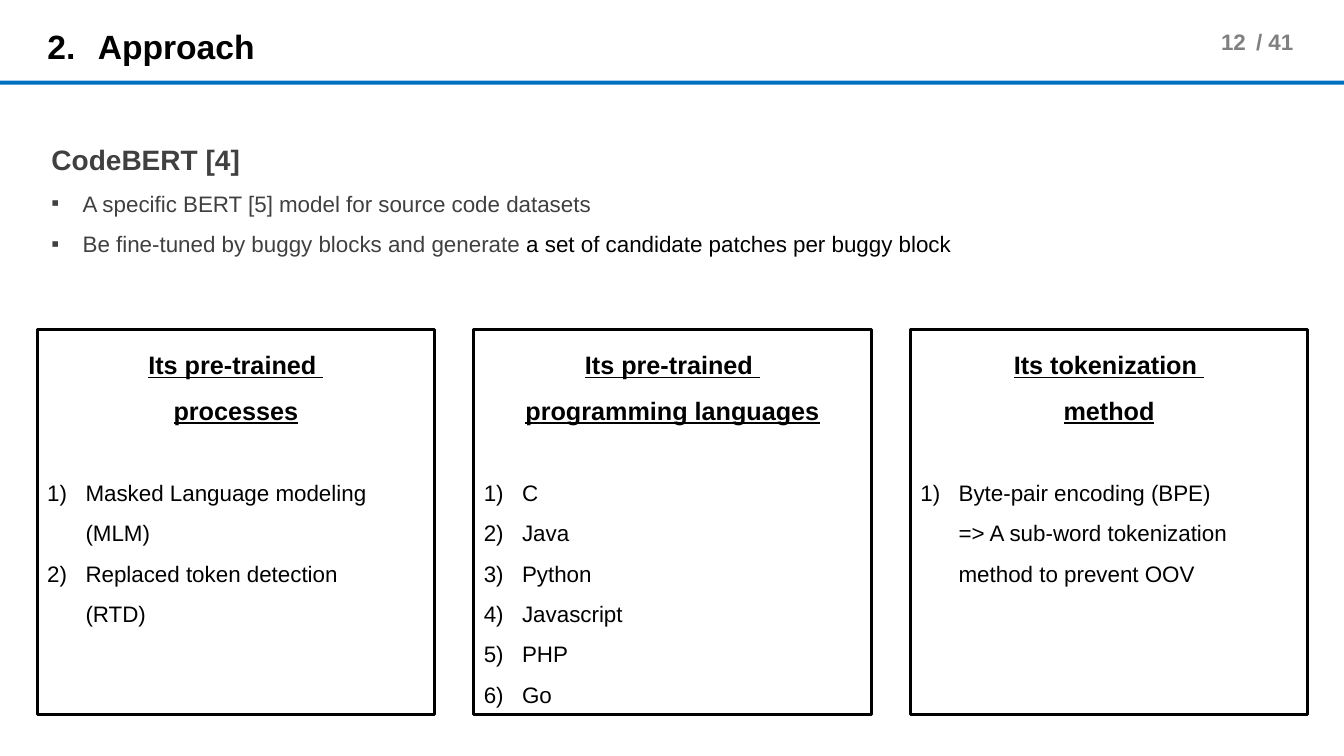
from pptx import Presentation
from pptx.dml.color import RGBColor
from pptx.enum.shapes import MSO_SHAPE
from pptx.enum.text import MSO_ANCHOR, MSO_AUTO_SIZE, PP_ALIGN
from pptx.oxml.ns import qn
from pptx.util import Inches, Pt
from lxml.etree import SubElement

BLACK = RGBColor(0x00, 0x00, 0x00)
DARK = RGBColor(0x40, 0x40, 0x40)
GREY = RGBColor(0x80, 0x80, 0x80)
BLUE = RGBColor(0x00, 0x70, 0xC0)

CARDS = [
    ("Its pre-trained \vprocesses",
     ["Masked Language modeling \v(MLM)", "Replaced token detection \v(RTD)"]),
    ("Its pre-trained \vprogramming languages",
     ["C", "Java", "Python", "Javascript", "PHP", "Go"]),
    ("Its tokenization \vmethod",
     ["Byte-pair encoding (BPE)\v=> A sub-word tokenization method to prevent OOV"]),
]


class ApproachSlide:
    font_name = "Arial"
    margin, pitch, gap, row = 0.37, 4.33, 0.39, 0.5

    def __init__(self, deck):
        self.width = deck.slide_width
        self.slide = deck.slides.add_slide(deck.slide_layouts[1])

    def area(self, column, row, columns, rows):
        return (Inches(self.margin + self.pitch * column), Inches(self.row * row),
                Inches(self.pitch * columns - self.gap), Inches(self.row * rows))

    def move(self, holder, *cells):
        holder.left, holder.top, holder.width, holder.height = self.area(*cells)
        return self.frame(holder)

    def frame(self, holder, anchor=MSO_ANCHOR.TOP, left=0.1, right=0.1, inset=0.05):
        frame = holder.text_frame
        frame.word_wrap = True
        frame.auto_size = MSO_AUTO_SIZE.NONE
        frame.vertical_anchor = anchor
        frame.margin_left, frame.margin_right = Inches(left), Inches(right)
        frame.margin_top = frame.margin_bottom = Inches(inset)
        return frame

    def add_line(self, frame, parts, size, color, bold=False, align=PP_ALIGN.LEFT,
                 spacing=1.5, before=0, indent=0, bullet="buNone", underline=False, **marker):
        paragraph = frame.paragraphs[0]
        if paragraph.runs:
            paragraph = frame.add_paragraph()
        properties = paragraph._p.get_or_add_pPr()
        properties.set("marL", str(Inches(indent)))
        properties.set("indent", str(-Inches(indent)))
        SubElement(properties, qn("a:" + bullet), marker)
        paragraph.alignment = align
        paragraph.line_spacing = spacing
        paragraph.space_before, paragraph.space_after = Pt(before), Pt(0)
        font = paragraph.font
        font.name, font.size, font.bold = self.font_name, Pt(size), bold
        font.underline = underline
        font.color.rgb = color
        if isinstance(parts, str):
            paragraph.text = parts
            return
        for text, part_color in parts:
            run = paragraph.add_run()
            run.text = text
            run.font.color.rgb = part_color

    def title(self, text):
        frame = self.move(self.slide.shapes.title, 0, 0.42, 3, 1)
        self.add_line(frame, text, 24, BLACK, bold=True, align=PP_ALIGN.JUSTIFY, spacing=1,
                      indent=0.5, bullet="buAutoNum", type="arabicPeriod", startAt="2")

    def rule(self, row, rows):
        band = self.slide.shapes.add_shape(
            MSO_SHAPE.RECTANGLE, 0, Inches(self.row * row), self.width, Inches(self.row * rows))
        band.shadow.inherit = False
        band.fill.solid()
        band.fill.fore_color.rgb = BLUE
        band.line.fill.background()

    def summary(self, heading, points):
        body = self.slide.placeholders[1]
        self.move(body, 0, 2.38, 3, 3.58)
        frame = self.frame(body, left=0.14, right=0.14, inset=0.06)
        self.add_line(frame, heading, 20, DARK, bold=True)
        for point in points:
            self.add_line(frame, point, 16, DARK, indent=0.31, bullet="buChar", char="▪")

    def card(self, column, heading, items):
        box = self.slide.shapes.add_shape(MSO_SHAPE.RECTANGLE, *self.area(column, 6.54, 1, 7.64))
        box.shadow.inherit = False
        box.fill.background()
        box.line.color.rgb = BLACK
        box.line.width = Pt(2.25)
        frame = self.frame(box)
        self.add_line(frame, heading, 18, BLACK, bold=True, align=PP_ALIGN.CENTER, underline=True)
        for position, item in enumerate(items):
            self.add_line(frame, item, 16, BLACK, before=0 if position else 29,
                          indent=0.38, bullet="buAutoNum", type="arabicParenR")

    def counter(self, text, column, columns, align, left, right):
        label = self.slide.shapes.add_textbox(*self.area(column, 0.42, columns, 0.8))
        frame = self.frame(label, MSO_ANCHOR.MIDDLE, left, right)
        self.add_line(frame, text, 16, GREY, bold=True, align=align, spacing=1)


def main():
    deck = Presentation()
    deck.slide_width, deck.slide_height = Inches(13.33), Inches(7.5)
    approach = ApproachSlide(deck)
    approach.rule(1.6, 0.08)
    approach.title("Approach")
    approach.summary("CodeBERT [4]", [
        "A specific BERT [5] model for source code datasets",
        [("Be fine-tuned by buggy blocks and generate", DARK),
         (" a set of candidate patches per buggy block", BLACK)],
    ])
    for column, (heading, items) in enumerate(CARDS):
        approach.card(column, heading, items)
    approach.counter("12", 2.22, 0.65, PP_ALIGN.RIGHT, 0.1, 0.05)
    approach.counter("/ 41", 2.78, 0.22, PP_ALIGN.LEFT, 0.05, 0.1)
    deck.save("out.pptx")


if __name__ == "__main__":
    main()
